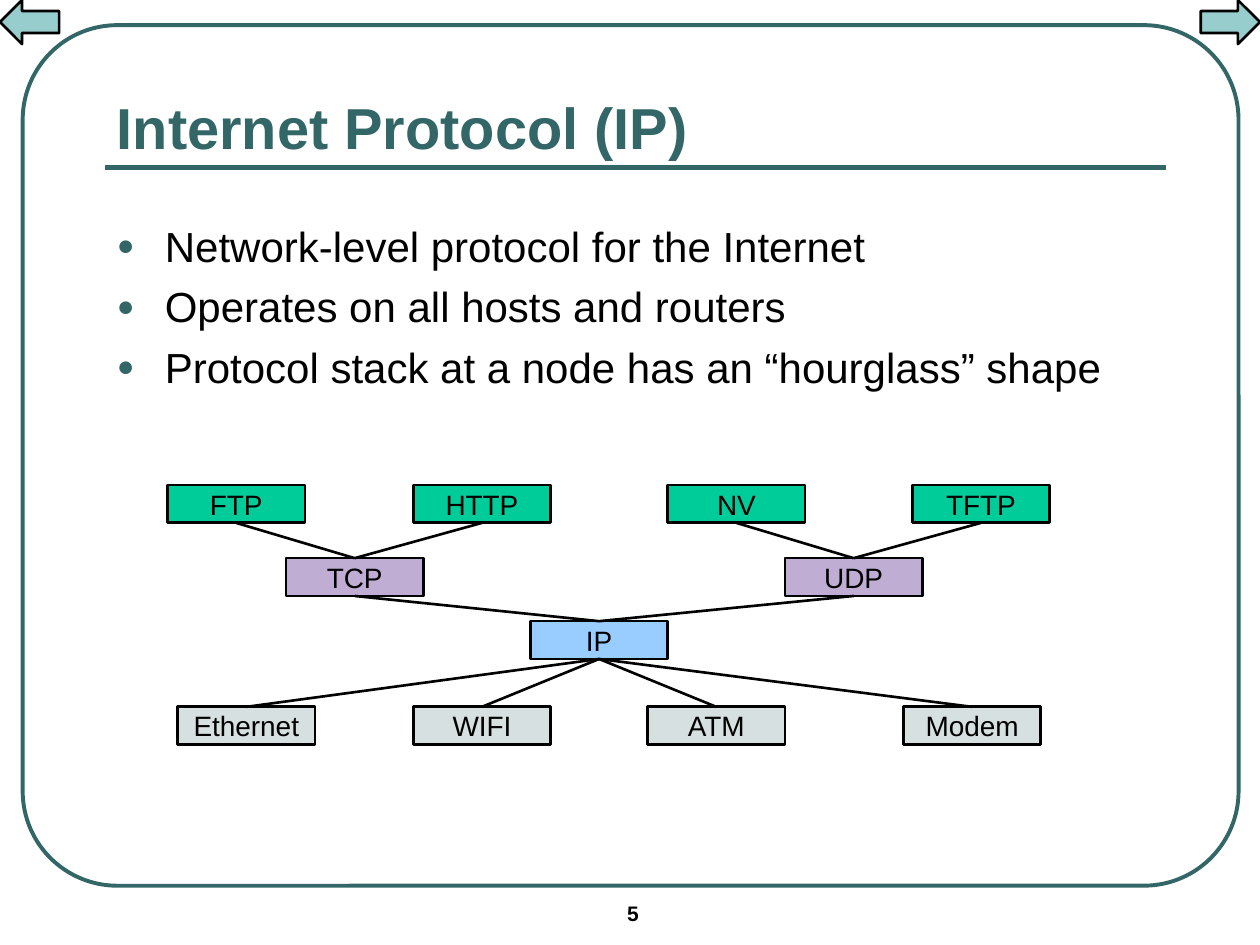
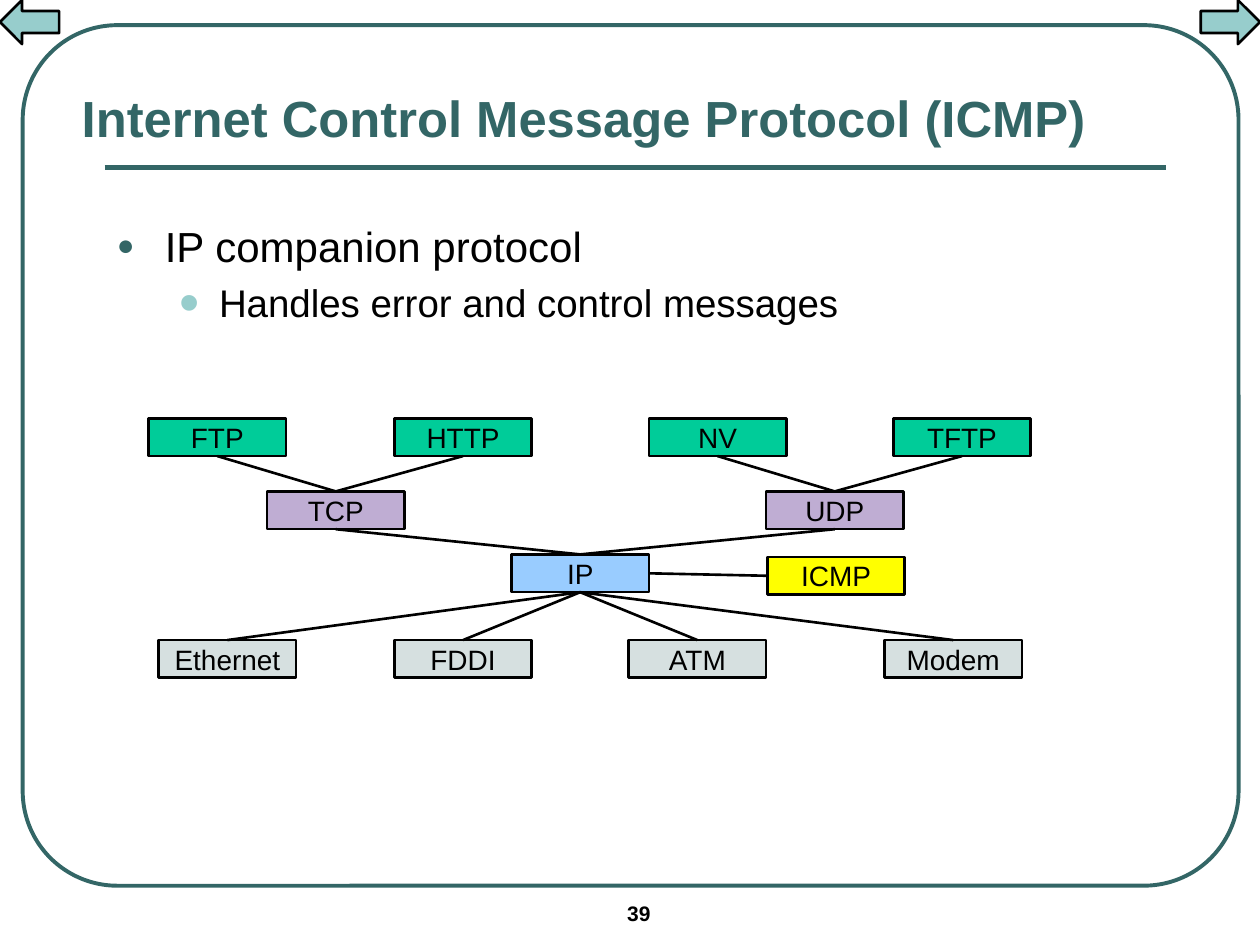
from pptx import Presentation
from pptx.dml.color import RGBColor
from pptx.enum.shapes import MSO_CONNECTOR, MSO_SHAPE
from pptx.enum.text import MSO_ANCHOR, PP_ALIGN
from pptx.oxml import parse_xml
from pptx.oxml.ns import nsdecls
from pptx.util import Inches, Pt

FONT = "Arial"
TEAL, AQUA, BLACK = "336666", "97CDCC", "000000"
GREEN, MAUVE, BLUE, GREY, YELLOW = "00CC99", "BFADD3", "99CCFF", "D6E0E0", "FFFF00"
TOP, LEFT, BASE, RIGHT = range(4)  # connection sites of a rectangle
NODE_W, NODE_H = 1.09, 0.3

# Bullet levels: text size, indent, hang, space before, sign, colour, percent
LEVELS = [
    (24, 0.38, 0.38, 5.8, "●", TEAL, 70),
    (22, 0.81, 0.31, 5, "•", AQUA, 150),
]


def color(code):
    return RGBColor.from_string(code)


def style(para, size, code=BLACK, bold=False):
    for run in para.runs:
        font = run.font
        font.name, font.size, font.bold = FONT, Pt(size), bold
        font.color.rgb = color(code)


def add_shape(slide, kind, box, fill=None, line=BLACK, width=1.5):
    shape = slide.shapes.add_shape(kind, *map(Inches, box))
    shape.shadow.inherit = False
    if fill:
        shape.fill.solid()
        shape.fill.fore_color.rgb = color(fill)
    else:
        shape.fill.background()
    shape.line.color.rgb = color(line)
    shape.line.width = Pt(width)
    return shape


def add_text(slide, box, text, anchor=MSO_ANCHOR.TOP):
    frame = slide.shapes.add_textbox(*map(Inches, box)).text_frame
    frame.word_wrap = True
    frame.vertical_anchor = anchor
    frame.text = text
    return frame


def add_line(slide, ends=(0, 0, 0, 0), code=BLACK, width=1.5):
    line = slide.shapes.add_connector(MSO_CONNECTOR.STRAIGHT, *map(Inches, ends))
    line.line.color.rgb = color(code)
    line.line.width = Pt(width)
    line._element.spPr.append(parse_xml(f"<a:effectLst {nsdecls('a')}/>"))
    return line


def join(slide, start, site, end, goal):
    line = add_line(slide)
    line.begin_connect(start, site)
    line.end_connect(end, goal)


def add_frame(slide, number):
    # Rounded border and title rule
    border = add_shape(slide, MSO_SHAPE.ROUNDED_RECTANGLE,
                       (0.18, 0.2, 9.65, 6.83), line=TEAL, width=2.25)
    border.adjustments[0] = 0.11
    add_line(slide, (0.83, 1.33, 9.25, 1.33), TEAL, 3)

    # Corner arrows
    for kind, left in ((MSO_SHAPE.RIGHT_ARROW, 9.53), (MSO_SHAPE.LEFT_ARROW, 0)):
        add_shape(slide, kind, (left, 0, 0.47, 0.35), AQUA)

    # Page number
    page = add_text(slide, (4.88, 7.1, 1.17, 0.33), str(number))
    style(page.paragraphs[0], 12, bold=True)


def add_title(slide, box, text, size):
    frame = add_text(slide, box, text, MSO_ANCHOR.BOTTOM)
    style(frame.paragraphs[0], size, TEAL, True)


def add_body(slide, box, items):
    frame = add_text(slide, box, "\n".join(text for text, _ in items))
    for order, (para, (_, level)) in enumerate(zip(frame.paragraphs, items)):
        size, indent, hang, space, sign, code, scale = LEVELS[level]
        props = para._p.get_or_add_pPr()
        props.set("marL", str(Inches(indent)))
        props.set("indent", str(-Inches(hang)))
        for part in (f'buClr {nsdecls("a")}><a:srgbClr val="{code}"/></a:buClr>',
                     f'buSzPct {nsdecls("a")} val="{scale * 1000}"/>',
                     f'buFont {nsdecls("a")} typeface="{FONT}"/>',
                     f'buChar {nsdecls("a")} char="{sign}"/>'):
            props.append(parse_xml("<a:" + part))
        para.level = level
        if order:
            para.space_before = Pt(space)
        style(para, size)


def add_node(slide, left, top, text, fill):
    node = add_shape(slide, MSO_SHAPE.RECTANGLE, (left, top, NODE_W, NODE_H), fill)
    frame = node.text_frame
    frame.word_wrap = False
    frame.vertical_anchor = MSO_ANCHOR.MIDDLE
    frame.text = text
    frame.paragraphs[0].alignment = PP_ALIGN.CENTER
    style(frame.paragraphs[0], 16)
    return node


def add_stack(slide, left, top, links, side=None):
    def row(drop, fill, names, shifts):
        return [add_node(slide, left + shift, top + drop, name, fill)
                for name, shift in zip(names, shifts)]

    # Protocol layers
    apps = row(0, GREEN, ("FTP", "HTTP", "NV", "TFTP"), (0, 1.95, 3.97, 5.91))
    hosts = row(0.58, MAUVE, ("TCP", "UDP"), (0.94, 4.9))
    core, = row(1.08, BLUE, ("IP",), (2.88,))
    nets = row(1.76, GREY, links, (0.08, 1.95, 3.81, 5.84))

    # Links between layers
    for order, app in enumerate(apps):
        join(slide, app, BASE, hosts[order // 2], TOP)
    for host in hosts:
        join(slide, host, BASE, core, TOP)
    for net in nets:
        join(slide, core, BASE, net, TOP)

    # Companion beside the core
    if side:
        mate, = row(1.1, YELLOW, (side,), (4.91,))
        join(slide, core, RIGHT, mate, LEFT)


def add_slide(deck, number):
    slide = deck.slides.add_slide(deck.slide_layouts[6])
    add_frame(slide, number)
    return slide


def main():
    deck = Presentation()
    deck.slide_width, deck.slide_height = Inches(10), Inches(7.5)

    # Internet Protocol
    slide = add_slide(deck, 5)
    add_title(slide, (0.83, 0.58, 8.42, 0.75), "Internet Protocol (IP)", 33)
    add_body(slide, (0.83, 1.7, 8.42, 2.2), [
        ("Network-level protocol for the Internet", 0),
        ("Operates on all hosts and routers", 0),
        ("Protocol stack at a node has an “hourglass” shape", 0),
    ])
    add_stack(slide, 1.33, 3.85, ("Ethernet", "WIFI", "ATM", "Modem"))

    # Control messages
    slide = add_slide(deck, 39)
    add_title(slide, (0.55, 0.57, 9.08, 0.65),
              "Internet Control Message Protocol (ICMP)", 29)
    add_body(slide, (0.83, 1.7, 8.42, 4.8), [
        ("IP companion protocol", 0),
        ("Handles error and control messages", 1),
    ])
    add_stack(slide, 1.18, 3.32, ("Ethernet", "FDDI", "ATM", "Modem"), "ICMP")

    deck.save("out.pptx")


if __name__ == "__main__":
    main()
